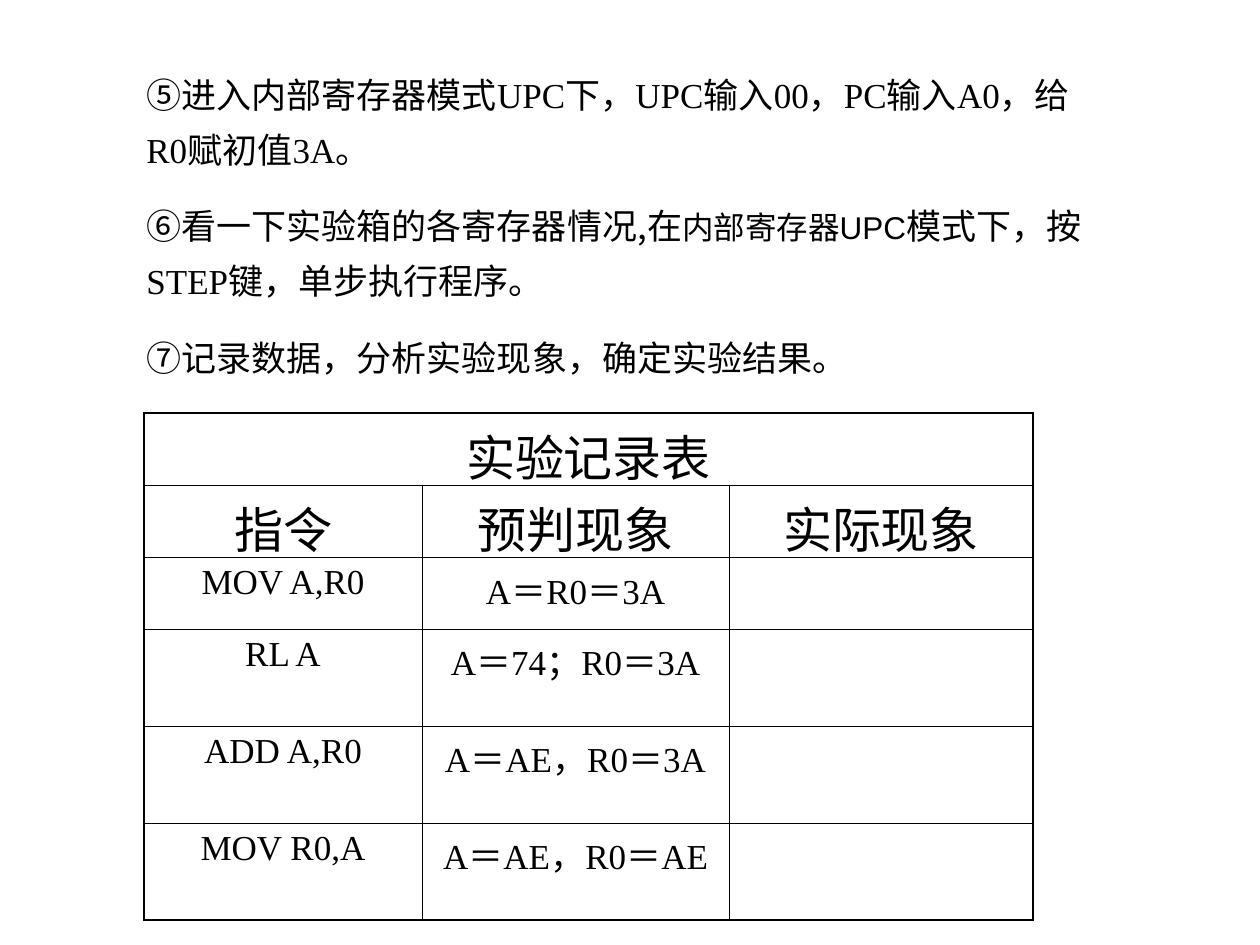
from lxml import etree
from pptx import Presentation
from pptx.dml.color import RGBColor
from pptx.enum.text import MSO_AUTO_SIZE, PP_ALIGN
from pptx.oxml.ns import qn
from pptx.util import Pt

LEFT, CENTER = PP_ALIGN.LEFT, PP_ALIGN.CENTER
SCALE = 914400 / 126
BLACK = "000000"
CJK, SERIF, SANS = "Noto Sans CJK SC", "Times New Roman", "Arial"
THIN, THICK = 0.45, 1.08

# Content: each step is a list of (text, font, size)
STEPS = [
    [("⑤", CJK, 20),
     ("进入内部寄存器模式UPC下，UPC输入00，PC输入A0，给R0赋初值3A。", SERIF, 20)],
    [("⑥看一下实验箱的各寄存器情况,", CJK, 20), ("在", SERIF, 20),
     ("内部寄存器UPC", SANS, 18), ("模式下，按STEP键，单步执行程序。", SERIF, 20)],
    [("⑦", CJK, 20), ("记录数据，分析实验现象，确定实验结果。", SERIF, 20)],
]
RECORDS = [
    ["实验记录表", "", ""],
    ["指令", "预判现象", "实际现象"],
    ["MOV A,R0", "A＝R0＝3A", ""],
    ["RL A", "A＝74；R0＝3A", ""],
    ["ADD A,R0", "A＝AE，R0＝3A", ""],
    ["MOV R0,A", "A＝AE，R0＝AE", ""],
]
HEADER_ROWS = 2
STEPS_BOX = (134, 55, 963, 330)
TABLE_LEFT, TABLE_TOP = 144, 413
COLUMN_WIDTHS = [278, 307, 304]
ROW_HEIGHTS = [72, 72, 72, 97, 97, 97]


def px(value):
    return round(value * SCALE)


def color(value):
    return RGBColor.from_string(value)


def write(paragraph, text, font=SERIF, size=20, align=LEFT, before=0, spacing=1.0):
    paragraph.alignment = align
    paragraph.space_before = Pt(before)
    paragraph.line_spacing = spacing
    run = paragraph.add_run()
    run.text = text
    run.font.size = Pt(size)
    run.font.color.rgb = color(BLACK)
    run.font.name = font
    east_asian = etree.SubElement(run.font._element, qn("a:ea"))
    east_asian.set("typeface", CJK)


def set_borders(cell, widths):
    properties = cell._tc.get_or_add_tcPr()
    for index, (side, width) in enumerate(widths.items()):
        line = etree.Element(qn(f"a:ln{side}"), w=str(Pt(width)))
        fill = etree.SubElement(line, qn("a:solidFill"))
        etree.SubElement(fill, qn("a:srgbClr"), val=BLACK)
        properties.insert(index, line)


def add_steps(slide):
    box = slide.shapes.add_textbox(*map(px, STEPS_BOX))
    frame = box.text_frame
    frame.word_wrap = True
    frame.auto_size = MSO_AUTO_SIZE.SHAPE_TO_FIT_TEXT
    for index, step in enumerate(STEPS):
        paragraph = frame.add_paragraph() if index else frame.paragraphs[0]
        for text, font, size in step:
            write(paragraph, text, font=font, size=size, before=12.5, spacing=1.3)


def add_record_table(slide):
    last_row, last_column = len(RECORDS) - 1, len(COLUMN_WIDTHS) - 1
    table = slide.shapes.add_table(
        len(RECORDS), len(COLUMN_WIDTHS), px(TABLE_LEFT), px(TABLE_TOP),
        px(sum(COLUMN_WIDTHS)), px(sum(ROW_HEIGHTS))).table
    table.first_row = table.horz_banding = False
    for column, width in zip(table.columns, COLUMN_WIDTHS):
        column.width = px(width)
    for row, height in zip(table.rows, ROW_HEIGHTS):
        row.height = px(height)
    table.cell(0, 0).merge(table.cell(0, last_column))

    for r, record in enumerate(RECORDS):
        header = r < HEADER_ROWS
        for c, text in enumerate(record):
            cell = table.cell(r, c)
            cell.fill.background()
            # Thick outer frame, thin inner grid
            set_borders(cell, {
                "L": THICK if c == 0 else THIN,
                "R": THICK if c == last_column or r == 0 else THIN,
                "T": THICK if r == 0 else THIN,
                "B": THICK if r == last_row else THIN,
            })
            if text:
                write(cell.text_frame.paragraphs[0], text, align=CENTER,
                      font=SANS if header else SERIF, size=28 if header else 20,
                      before=7 if header else 5)


def main():
    presentation = Presentation()
    presentation.slide_width, presentation.slide_height = px(1260), px(945)
    slide = presentation.slides.add_slide(presentation.slide_layouts[6])
    add_steps(slide)
    add_record_table(slide)
    presentation.save("out.pptx")


if __name__ == "__main__":
    main()
